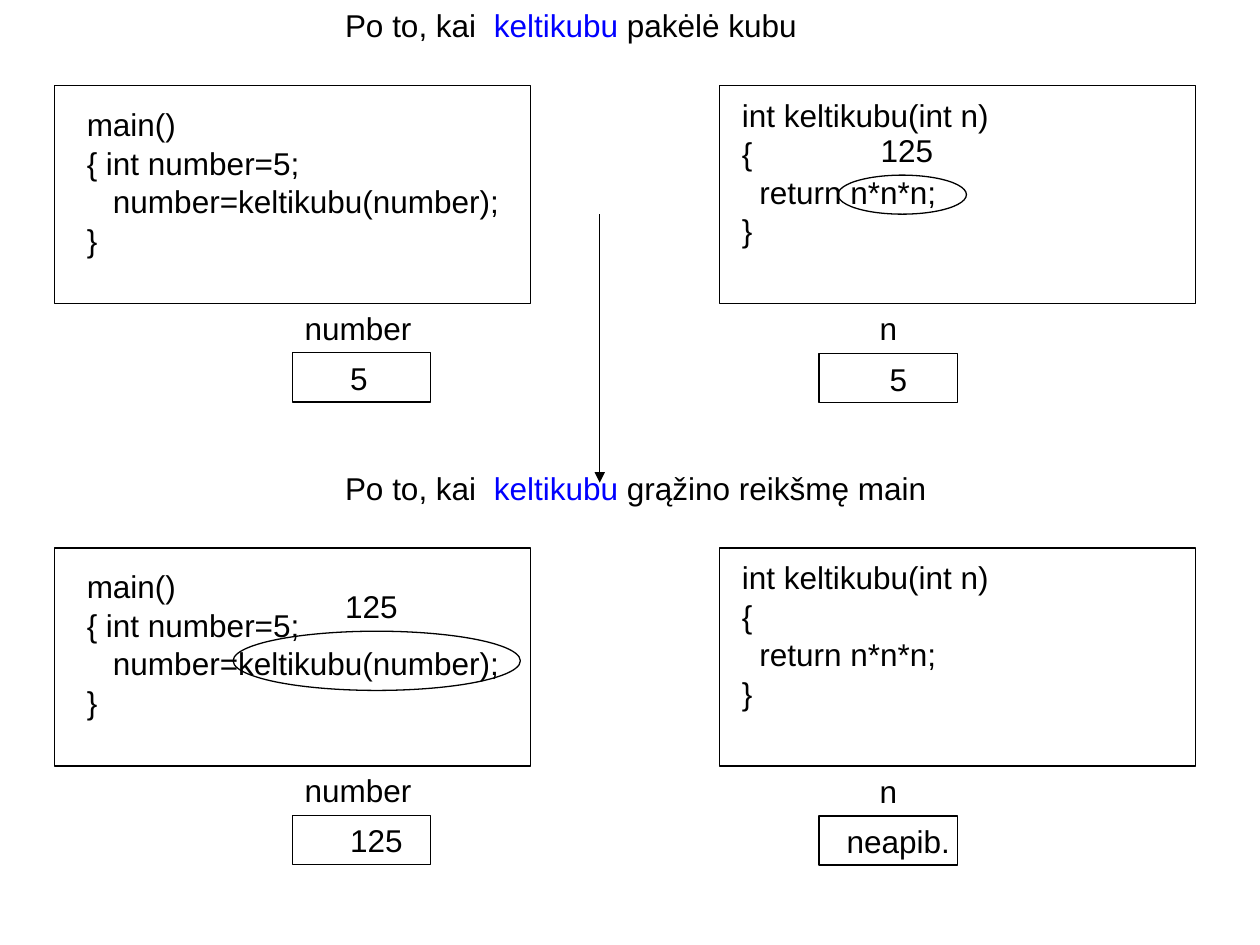
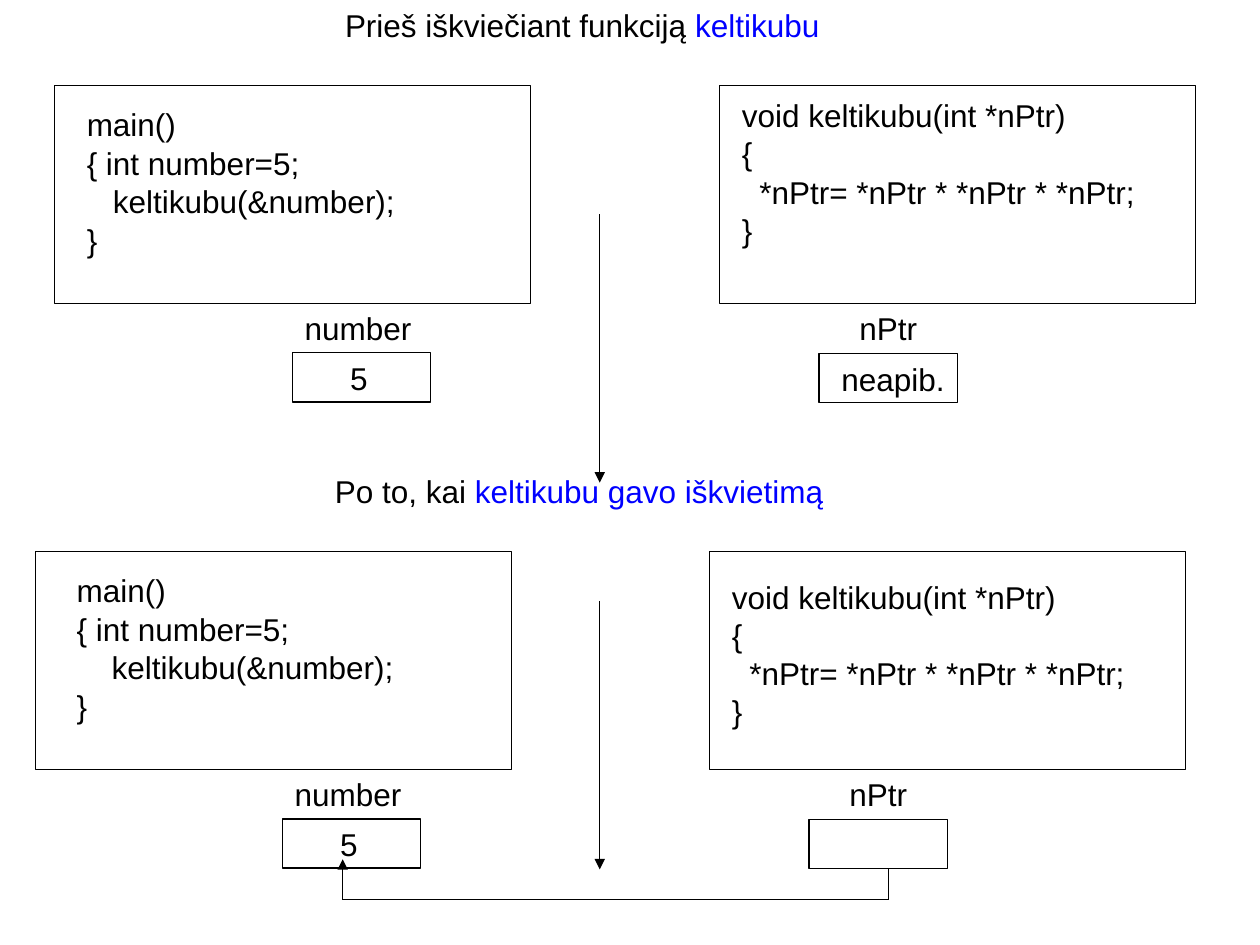
"""Build two slides that trace a call by value and a call by reference."""
from typing import NamedTuple

from pptx import Presentation
from pptx import util as u
from pptx.dml import color
from pptx.enum import shapes, text as txt
from pptx.oxml import xmlchemy as xml

BLACK = color.RGBColor(0x00, 0x00, 0x00)
BLUE = color.RGBColor(0x00, 0x00, 0xFF)
FONT = "Arial"
WIDE, HIGH = u.Inches(10), u.Inches(7.5)
COLS, ROWS = 100, 75
LEFT, MID = txt.PP_ALIGN.LEFT, txt.PP_ALIGN.CENTER
RECT, OVAL = shapes.MSO_SHAPE.RECTANGLE, shapes.MSO_SHAPE.OVAL
INSET, LINE = 1, 4
CODE = (37.8, 17.3)
CELL = (11, 3.9)


class Area(NamedTuple):
    col: float
    row: float
    wide: float
    high: float


class Var(NamedTuple):
    name: str
    value: str
    align: txt.PP_ALIGN = MID


class Stage(NamedTuple):
    row: float
    title: str
    blue: str
    main: str
    func: str
    number: str
    param: Var
    shift: float = 0
    frame: float = 4.3
    tight: bool = True


class Note(NamedTuple):
    oval: Area
    label: Area


class Page(NamedTuple):
    stages: list[Stage]
    notes: list[Note]
    paths: list[list[tuple[float, float]]]


def across(col: float) -> int:
    return round(WIDE * col / COLS)


def down(row: float) -> int:
    return round(HIGH * row / ROWS)


def place(area: Area) -> tuple[int, int, int, int]:
    return across(area.col), down(area.row), across(area.wide), down(area.high)


def put(slide, area: Area, words: str, *, blue: str = "", align=LEFT,
        indent: float = 0, tight: bool = False) -> None:
    frame = slide.shapes.add_textbox(*place(area)).text_frame
    frame.word_wrap = True
    frame.margin_left = across(INSET + indent)
    for i, line in enumerate(words.split("\n")):
        para = frame.paragraphs[0] if i == 0 else frame.add_paragraph()
        para.alignment = align
        if tight:
            para.line_spacing = 0.5
            if i:
                para.space_before = u.Pt(11.2)
        parts = line.partition(blue) if blue else (line,)
        for part in filter(None, parts):
            run = para.add_run()
            run.text = part
            run.font.name, run.font.size = FONT, u.Pt(18)
            run.font.color.rgb = BLUE if part == blue else BLACK


def stroke(line) -> None:
    line.color.rgb = BLACK
    line.width = u.Pt(0.75)


def outline(slide, kind, area: Area) -> None:
    shape = slide.shapes.add_shape(kind, *place(area))
    shape.shadow.inherit = False
    shape.fill.background()
    stroke(shape.line)


def trace(slide, points: list[tuple[float, float]]) -> None:
    for start, end in zip(points, points[1:]):
        link = slide.shapes.add_connector(
            shapes.MSO_CONNECTOR.STRAIGHT, across(start[0]), down(start[1]),
            across(end[0]), down(end[1]))
        stroke(link.line)
        if end == points[-1]:
            tip = xml.OxmlElement("a:tailEnd")
            tip.set("type", "triangle")
            link.line._get_or_add_ln().append(tip)
        link._element.spPr.append(xml.OxmlElement("a:effectLst"))


def cell(slide, col: float, row: float, var: Var, align, indent: float) -> None:
    outline(slide, RECT, Area(col, row, *CELL))
    put(slide, Area(col, row - LINE, CELL[0], LINE), var.name, align=align)
    if var.value:
        put(slide, Area(col + 0.8, row, CELL[0], LINE), var.value,
            align=var.align, indent=indent)


def draw(slide, stage: Stage) -> None:
    row, shift = stage.row, stage.shift
    for col in (stage.frame, 57.1 + shift):
        outline(slide, RECT, Area(col, row + 6.8, *CODE))
    put(slide, Area(5.9 + shift, row + 9.15, 36.2, 11.7), stage.main, tight=True)
    put(slide, Area(57.9 + shift, row + 8.4, 36.2, 11.7), stage.func,
        tight=stage.tight)
    put(slide, Area(26.4 + shift, row, 52, LINE), stage.title, blue=stage.blue)
    cell(slide, 23.2 + shift, row + 28, Var("number", stage.number, LEFT), LEFT, 2.8)
    cell(slide, 65 + shift, row + 28.05, stage.param, MID, 0)


def body(head: str, step: str) -> str:
    return f"{head}\n{{\n  {step}\n}}"


def caller(step: str) -> str:
    return f"main()\n{{ int number=5;\n{step}\n}}"


BY_VALUE = (caller("   number=keltikubu(number);"),
            body("int keltikubu(int n)", "return n*n*n;"))
CUBE = body("void keltikubu(int *nPtr)", "*nPtr= *nPtr * *nPtr * *nPtr;")
DROP = [(47.6, 17), (47.6, 38.3)]
PAGES = [
    Page([Stage(0, "Po to, kai  keltikubu pakėlė kubu", "keltikubu",
                *BY_VALUE, "5", Var("n", "5")),
          Stage(36.7, "Po to, kai  keltikubu grąžino reikšmę main", "keltikubu",
                *BY_VALUE, "125", Var("n", "neapib."))],
         [Note(Area(66.5, 13.9, 10.2, 3.1), Area(68.9, 9.9, 6.3, LINE)),
          Note(Area(18.5, 50.1, 22.8, 4.7), Area(26.4, 46.1, 9.5, LINE))],
         [DROP]),
    Page([Stage(0, "Prieš iškviečiant funkciją keltikubu", "keltikubu",
                caller("   keltikubu(&number);"), CUBE, "5",
                Var("nPtr", "neapib.", LEFT)),
          Stage(37, "Po to, kai keltikubu gavo iškvietimą",
                "keltikubu gavo iškvietimą", caller("    keltikubu(&number);"),
                CUBE, "5", Var("nPtr", ""), -0.8, 2.8, False)],
         [],
         [DROP, [(col, row + 30.7) for col, row in DROP],
          [(70.5, 69), (70.5, 71.4), (27.2, 71.4), (27.2, 68.2)]]),
]


def main() -> None:
    deck = Presentation()
    deck.slide_width, deck.slide_height = WIDE, HIGH
    for page in PAGES:
        slide = deck.slides.add_slide(deck.slide_layouts[6])
        for stage in page.stages:
            draw(slide, stage)
        for note in page.notes:
            outline(slide, OVAL, note.oval)
            put(slide, note.label, "125")
        for points in page.paths:
            trace(slide, points)
    deck.save("out.pptx")


if __name__ == "__main__":
    main()
